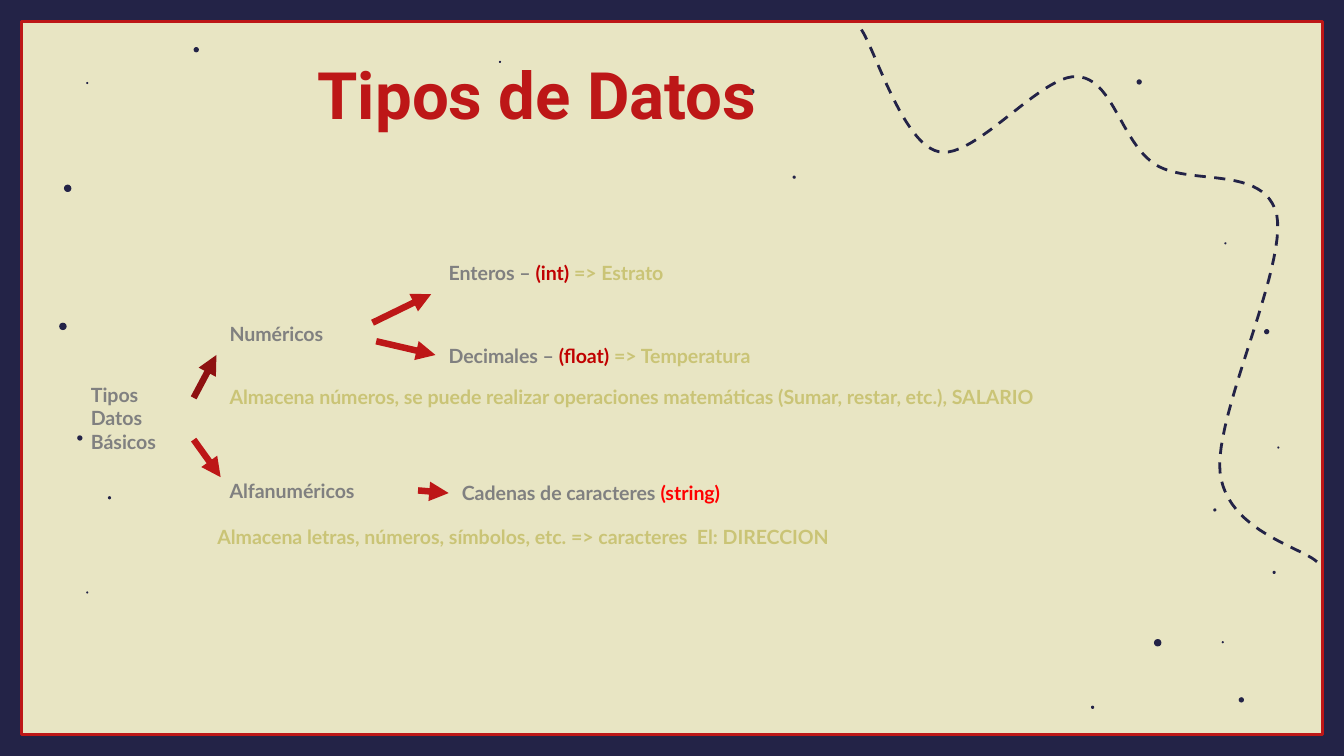
from dataclasses import dataclass

from lxml import etree
from pptx import Presentation
from pptx import util as u
from pptx.dml.color import RGBColor
from pptx.enum import dml, shapes, text
from pptx.oxml.ns import qn

WIDE, HIGH, EDGE = 25.4, 14.29, 0.41
NAVY, RED, DARK = "232347", "BD1717", "8E1111"
GRAY, SAND, CREAM = "808080", "CAC476", "E8E5C3"
WINE, BRIGHT = "C00000", "FF0000"


@dataclass
class Label:
    left: float
    top: float
    width: float
    lines: list[list[tuple[str, str]]]  # paragraphs of (words, colour)
    height: float = 0.71
    size: float = 10.5
    font: str = "Lato"
    align: text.PP_ALIGN = text.PP_ALIGN.JUSTIFY


@dataclass
class Arrow:
    start: tuple[float, float]
    end: tuple[float, float]
    color: str = RED


# Dot centres by diameter
DOTS = {
    0.14: [(21.88, 12.15), (1.28, 3.56), (1.19, 6.17)],
    0.10: [(14.21, 1.73), (23.46, 13.23), (23.94, 6.27), (1.51, 8.28),
           (21.53, 1.55), (3.71, 0.94)],
    0.06: [(2.07, 9.41), (22.96, 9.64), (15.01, 3.35), (24.08, 10.82),
           (20.65, 13.37)],
    0.04: [(23.11, 12.14), (23.16, 4.6), (9.45, 1.17), (1.65, 11.2),
           (24.16, 8.46), (1.65, 1.57)],
}

# Trail: start point, then two control points and an end for each bend
START = (16.28, 0.56)
BENDS = [
    ((16.54, 0.94), (17.07, 2.74), (17.75, 2.87)),
    ((18.42, 3.02), (19.69, 1.4), (20.35, 1.45)),
    ((21.03, 1.47), (21.18, 2.67), (21.82, 3.1)),
    ((22.45, 3.53), (23.9, 3.1), (24.13, 4.06)),
    ((24.33, 5.05), (22.94, 7.85), (23.06, 8.94)),
    ((23.19, 10.03), (24.59, 10.34), (24.89, 10.62)),
]

LABELS = [
    Label(1.47, 7.11, 2.72,
          [[(word, GRAY)] for word in ("Tipos", "Datos", "Básicos")], 1.6),
    Label(4.09, 5.97, 3.07, [[("Numéricos", GRAY)]]),
    Label(4.09, 8.92, 3.81, [[("Alfanuméricos", GRAY)]]),
    Label(8.23, 4.8, 6.35,
          [[("Enteros – ", GRAY), ("(int) ", WINE), ("=> Estrato", SAND)]]),
    Label(8.23, 6.38, 8.59,
          [[("Decimales – ", GRAY), ("(float) ", WINE),
            ("=> Temperatura", SAND)]]),
    Label(8.48, 8.97, 8.71,
          [[("Cadenas de caracteres ", GRAY), ("(string)", BRIGHT)]]),
    Label(4.09, 7.16, 20.17,
          [[("Almacena números, se puede realizar operaciones matemáticas "
             "(Sumar, restar, etc.), SALARIO", SAND)]]),
    Label(3.86, 9.8, 16.71,
          [[("Almacena letras, números, símbolos, etc. => caracteres  "
             "El: DIRECCION", SAND)]]),
]
TITLE = Label(2.84, 0.64, 14.63, [[("Tipos de Datos", RED)]], 2.11, 35,
              "Roboto", text.PP_ALIGN.CENTER)

ARROWS = [
    Arrow((3.66, 7.52), (4.09, 6.71), DARK),
    Arrow((3.66, 8.31), (4.17, 9.02)),
    Arrow((7.04, 6.1), (8.15, 5.56)),
    Arrow((7.11, 6.45), (8.23, 6.71)),
    Arrow((7.9, 9.27), (8.48, 9.32)),
]


def paint(part, color: str) -> None:
    """Colour a fill, a line's fill or a font."""
    if hasattr(part, "solid"):
        part.solid()
        part.fore_color.rgb = RGBColor.from_string(color)
    else:
        part.color.rgb = RGBColor.from_string(color)


def draw_shape(slide, kind, left: float, top: float, width: float,
               height: float, color: str, hollow: bool = False) -> None:
    shape = slide.shapes.add_shape(
        kind, u.Cm(left), u.Cm(top), u.Cm(width), u.Cm(height))
    shape.shadow.inherit = False
    if hollow:
        shape.fill.background()
        paint(shape.line, color)
        shape.line.width = u.Pt(1.5)
    else:
        paint(shape.fill, color)
        shape.line.fill.background()


def draw_trail(slide, steps: int = 24) -> None:
    spots, last = [], START
    for one, two, end in BENDS:
        for step in range(1, steps + 1):
            t = step / steps
            s = 1 - t
            spots.append(tuple(
                u.Cm(s**3 * a + 3 * s * s * t * b + 3 * s * t * t * c + t**3 * d)
                for a, b, c, d in zip(last, one, two, end)))
        last = end
    pen = slide.shapes.build_freeform(u.Cm(START[0]), u.Cm(START[1]))
    pen.add_line_segments(spots, close=False)
    trail = pen.convert_to_shape()
    trail.shadow.inherit = False
    trail.fill.background()
    paint(trail.line, NAVY)
    trail.line.width = u.Pt(1.5)
    trail.line.dash_style = dml.MSO_LINE.DASH


def draw_label(slide, label: Label):
    box = slide.shapes.add_textbox(u.Cm(label.left), u.Cm(label.top),
                                   u.Cm(label.width), u.Cm(label.height))
    frame = box.text_frame
    frame.word_wrap = True
    frame.text = "\n".join("".join(w for w, _ in line) for line in label.lines)
    for para, line in zip(frame.paragraphs, label.lines):
        para.text = ""
        para.alignment = label.align
        for words, color in line:
            run = para.add_run()
            run.text = words
            run.font.name = label.font
            run.font.size = u.Pt(label.size)
            run.font.bold = True
            paint(run.font, color)
    return frame


def draw_arrow(slide, arrow: Arrow) -> None:
    line = slide.shapes.add_connector(
        shapes.MSO_CONNECTOR.STRAIGHT,
        *(u.Cm(n) for n in arrow.start + arrow.end))
    paint(line.line, arrow.color)
    line.line.width = u.Pt(3.5)
    etree.SubElement(line.line._get_or_add_ln(), qn("a:tailEnd"),
                     type="triangle")
    etree.SubElement(line._element.spPr, qn("a:effectLst"))


def main() -> None:
    deck = Presentation()
    deck.slide_width, deck.slide_height = u.Cm(WIDE), u.Cm(HIGH)
    slide = deck.slides.add_slide(deck.slide_layouts[6])
    paint(slide.background.fill, CREAM)

    # Frame
    rect = shapes.MSO_SHAPE.RECTANGLE
    for bar in ((0, 0, WIDE, EDGE), (0, HIGH - EDGE, WIDE, EDGE),
                (0, 0, EDGE, HIGH), (WIDE - EDGE, 0, EDGE, HIGH)):
        draw_shape(slide, rect, *bar, NAVY)
    draw_shape(slide, rect, EDGE, EDGE, WIDE - 2 * EDGE, HIGH - 2 * EDGE,
               RED, hollow=True)

    # Trail and dots
    draw_trail(slide)
    for size, spots in DOTS.items():
        for x, y in spots:
            draw_shape(slide, shapes.MSO_SHAPE.OVAL, x - size / 2,
                       y - size / 2, size, size, NAVY)

    # Tree of types
    for label in LABELS:
        draw_label(slide, label).auto_size = text.MSO_AUTO_SIZE.SHAPE_TO_FIT_TEXT
    for arrow in ARROWS:
        draw_arrow(slide, arrow)

    # Title
    frame = draw_label(slide, TITLE)
    frame.vertical_anchor = text.MSO_ANCHOR.BOTTOM
    frame.margin_top = frame.margin_bottom = u.Cm(0.25)

    deck.save("out.pptx")


if __name__ == "__main__":
    main()
